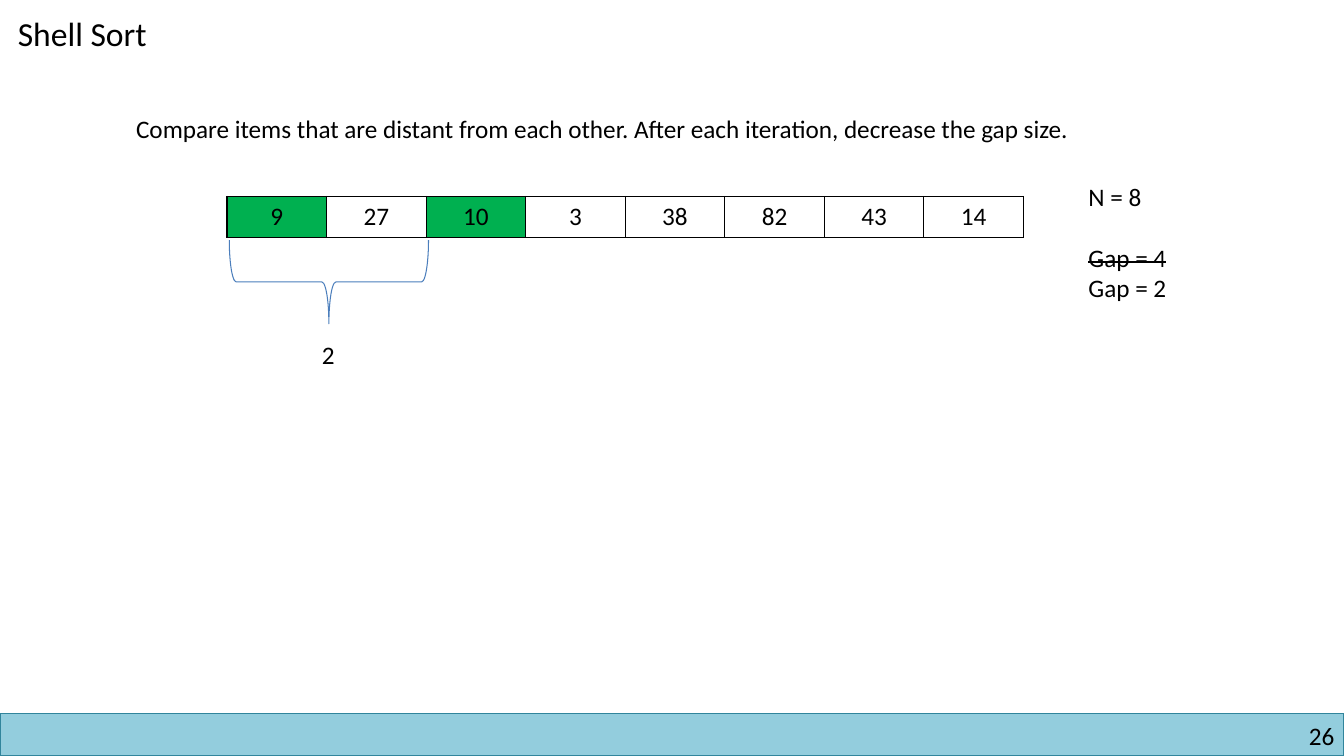
from dataclasses import dataclass

from lxml.etree import SubElement
from pptx import Presentation
from pptx.dml.color import RGBColor
from pptx.enum.shapes import MSO_SHAPE
from pptx.enum.text import PP_ALIGN
from pptx.oxml.ns import qn
from pptx.util import Cm, Pt


@dataclass(frozen=True)
class Theme:
    font: str = "Calibri"
    title_size: int = 24
    body_size: int = 18
    text: str = "000000"
    cell: str = "FFFFFF"
    compared: str = "00B050"
    brace: str = "4B7EBC"
    footer: str = "93CDDD"
    footer_line: str = "31859C"


THEME = Theme()

# Content
TITLE = "Shell Sort"
EXPLANATION = ("Compare items that are distant from each other. "
               "After each iteration, decrease the gap size.")
ITEMS = [9, 27, 10, 3, 38, 82, 43, 14]
GAP = 2
FIRST = 0
PAGE_NUMBER = "26"
# Text, struck through, space before in points
STATE = [("N = 8", False, 0), ("Gap = 4", True, 22), (f"Gap = {GAP}", False, 0)]

# Layout in centimetres
SLIDE_WIDTH, SLIDE_HEIGHT = 33.87, 19.05
FOOTER_HEIGHT = 1.07
ARRAY_LEFT, ARRAY_TOP = 5.72, 4.95
CELL_WIDTH, CELL_HEIGHT = 2.51, 1.04
BRACE_DEPTH, BRACE_SHIFT = 2.11, 0.06
LABEL_WIDTH = 0.86


def color(value):
    return RGBColor.from_string(value)


def style(paragraph, size=THEME.body_size, align=PP_ALIGN.LEFT):
    paragraph.alignment = align
    paragraph.font.name = THEME.font
    paragraph.font.size = Pt(size)
    paragraph.font.color.rgb = color(THEME.text)


def add_text(slide, text, left, top, width, height, **styling):
    box = slide.shapes.add_textbox(Cm(left), Cm(top), Cm(width), Cm(height))
    frame = box.text_frame
    frame.word_wrap = False
    frame.text = text
    for paragraph in frame.paragraphs:
        style(paragraph, **styling)
    return frame


def add_footer(slide):
    top = SLIDE_HEIGHT - FOOTER_HEIGHT
    bar = slide.shapes.add_shape(MSO_SHAPE.RECTANGLE, 0, Cm(top),
                                 Cm(SLIDE_WIDTH), Cm(FOOTER_HEIGHT))
    bar.shadow.inherit = False
    bar.fill.solid()
    bar.fill.fore_color.rgb = color(THEME.footer)
    bar.line.color.rgb = color(THEME.footer_line)
    bar.line.width = Pt(1)
    frame = add_text(slide, PAGE_NUMBER, 25.83, 18.16, 7.8, 0.76,
                     align=PP_ALIGN.RIGHT)
    frame.word_wrap = True
    frame.margin_left = frame.margin_right = 0
    frame.margin_top = frame.margin_bottom = 0


def add_borders(cell):
    properties = cell._tc.get_or_add_tcPr()
    for position, side in enumerate(("lnL", "lnR", "lnT", "lnB")):
        line = properties.makeelement(qn(f"a:{side}"), {"w": str(Pt(1))})
        fill = SubElement(line, qn("a:solidFill"))
        SubElement(fill, qn("a:srgbClr"), val=THEME.text)
        properties.insert(position, line)


def add_array(slide):
    table = slide.shapes.add_table(
        1, len(ITEMS), Cm(ARRAY_LEFT), Cm(ARRAY_TOP),
        Cm(CELL_WIDTH * len(ITEMS)), Cm(CELL_HEIGHT)).table
    table.first_row = table.horz_banding = False
    for index, item in enumerate(ITEMS):
        table.columns[index].width = Cm(CELL_WIDTH)
        cell = table.cell(0, index)
        cell.text = str(item)
        style(cell.text_frame.paragraphs[0], align=PP_ALIGN.CENTER)
        compared = index in (FIRST, FIRST + GAP)
        cell.fill.solid()
        cell.fill.fore_color.rgb = color(THEME.compared if compared else THEME.cell)
        add_borders(cell)


def add_gap_brace(slide):
    span = GAP * CELL_WIDTH
    center_x = ARRAY_LEFT + FIRST * CELL_WIDTH + span / 2 + BRACE_SHIFT
    center_y = ARRAY_TOP + CELL_HEIGHT + BRACE_DEPTH / 2 + BRACE_SHIFT
    brace = slide.shapes.add_shape(
        MSO_SHAPE.LEFT_BRACE, Cm(center_x - BRACE_DEPTH / 2),
        Cm(center_y - span / 2), Cm(BRACE_DEPTH), Cm(span))
    brace.rotation = 270
    brace.shadow.inherit = False
    brace.fill.background()
    brace.line.color.rgb = color(THEME.brace)
    brace.line.width = Pt(0.75)
    add_text(slide, str(GAP), center_x - LABEL_WIDTH / 2, 8.43, LABEL_WIDTH, 1.02)


def add_state(slide):
    lines = "\n".join(text for text, _, _ in STATE)
    frame = add_text(slide, lines, 27.18, 4.45, 2.82, 3.33)
    for paragraph, (_, struck, space) in zip(frame.paragraphs, STATE):
        if space:
            paragraph.space_before = Pt(space)
        if struck:
            paragraph.runs[0].font._element.set("strike", "sngStrike")


def main():
    presentation = Presentation()
    presentation.slide_width = Cm(SLIDE_WIDTH)
    presentation.slide_height = Cm(SLIDE_HEIGHT)
    slide = presentation.slides.add_slide(presentation.slide_layouts[6])

    add_footer(slide)
    add_text(slide, TITLE, 0.2, 0.2, 4.22, 1.27, size=THEME.title_size)
    add_text(slide, EXPLANATION, 3.18, 2.74, 26.31, 1.02)
    add_array(slide)
    add_state(slide)
    add_gap_brace(slide)

    presentation.save("out.pptx")


if __name__ == "__main__":
    main()
